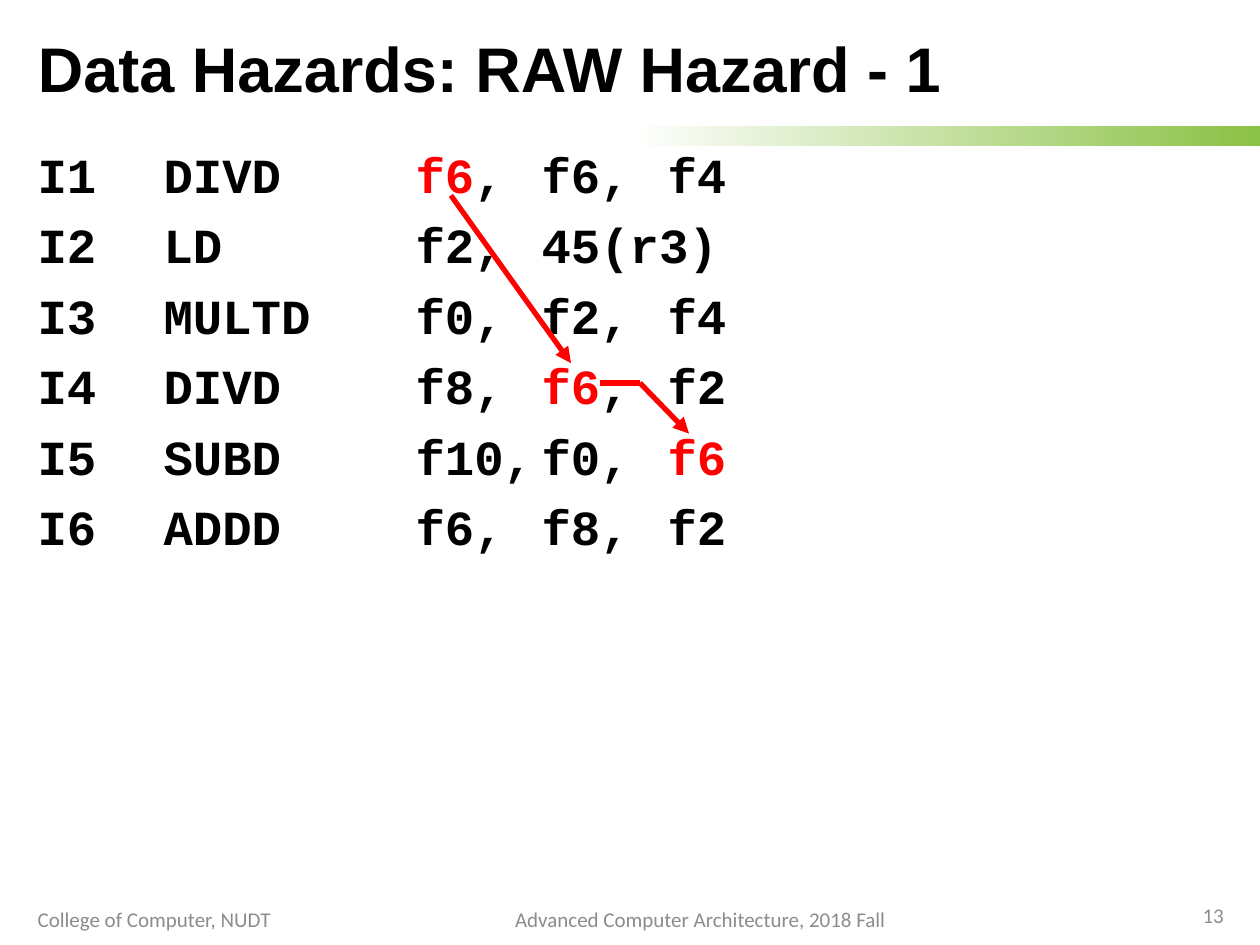
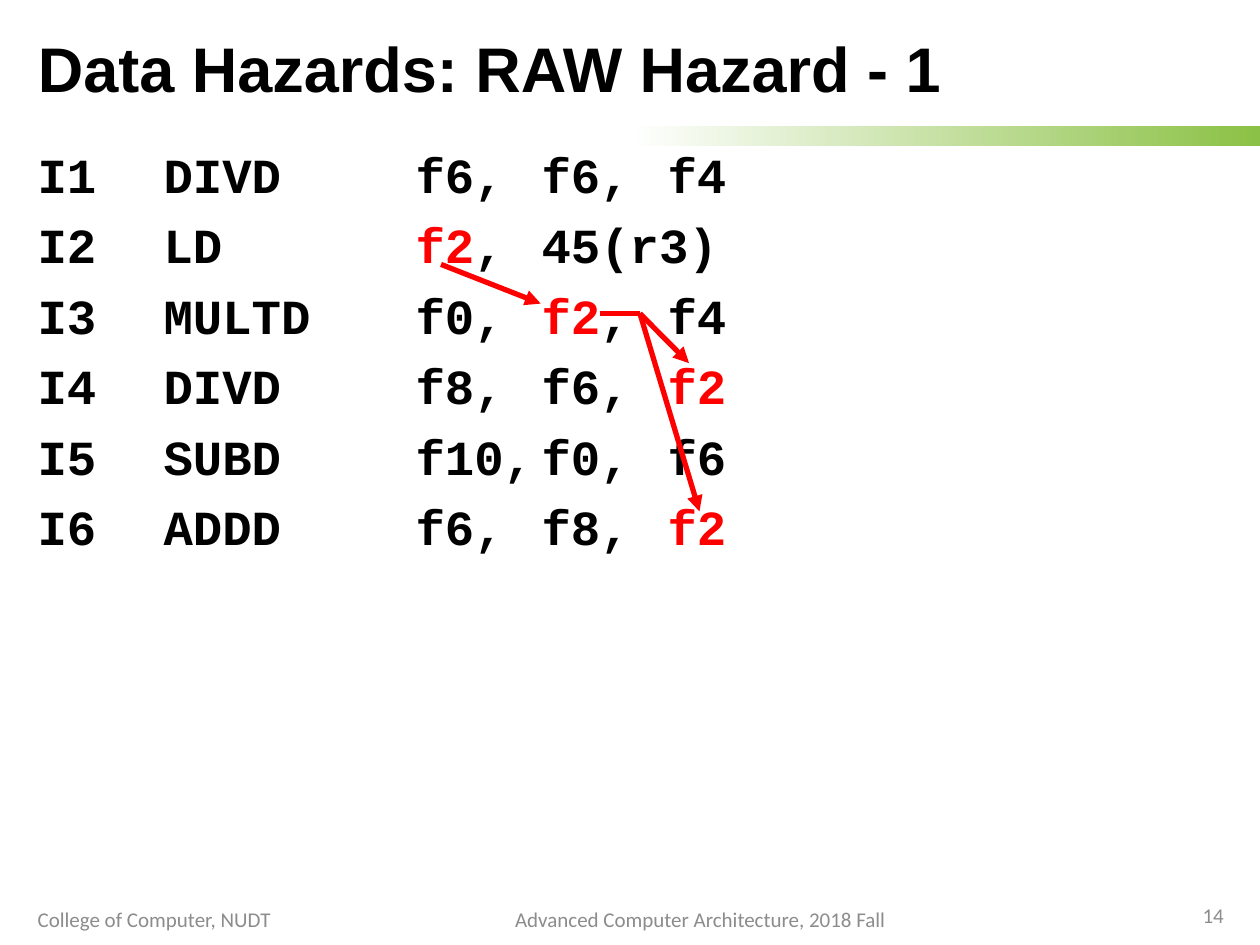
import pptx
import pptx.util
import pptx.dml.color
import pptx.enum.shapes
import pptx.enum.text
import pptx.oxml
import pptx.oxml.ns

Cm, Pt = pptx.util.Cm, pptx.util.Pt
RGBColor = pptx.dml.color.RGBColor
ALIGN = pptx.enum.text.PP_ALIGN
ANCHOR = pptx.enum.text.MSO_ANCHOR
qn = pptx.oxml.ns.qn

BLACK = RGBColor(0x00, 0x00, 0x00)
WHITE = RGBColor(0xFF, 0xFF, 0xFF)
RED = RGBColor(0xFF, 0x00, 0x00)
GREEN = RGBColor(0x8B, 0xC1, 0x45)
GREY = RGBColor(0x8C, 0x8C, 0x8C)

# Opening of each instruction, then its operands
PROGRAM = [
    ("I1 \tDIVD\t\t", "f6, ", "f6,", "f4"),
    ("I2 \tLD\t\t", "f2,", "45(r3)"),
    ("I3 \tMULTD\t", "f0,", "f2,", "f4"),
    ("I4 \tDIVD\t\t", "f8,", "f6,", "f2"),
    ("I5\tSUBD\t\t", "f10,", "f0,", "f6"),
    ("I6 \tADDD\t\t", "f6,", "f8,", "f2"),
]

# Per slide: number, {instruction: dependent operand}, lines (from, to, has arrowhead)
SLIDES = [
    (13, {1: 1, 4: 2, 5: 3}, [
        ((9.09, 3.94), (11.51, 7.32), True),
        ((12.09, 7.72), (12.9, 7.72), False),
        ((12.9, 7.72), (13.89, 8.74), True),
    ]),
    (14, {2: 1, 3: 2, 4: 3, 6: 3}, [
        ((8.89, 5.33), (10.9, 6.12), True),
        ((12.9, 6.32), (14.1, 10.31), True),
        ((12.09, 6.32), (12.9, 6.32), False),
        ((12.9, 6.32), (13.89, 7.32), True),
    ]),
]


class Deck:
    left, width = 0.51, 24.4

    def __init__(self):
        self.prs = pptx.Presentation()
        self.prs.slide_width, self.prs.slide_height = Cm(25.4), Cm(19.05)
        self.s = None

    def style(self, r, font, size, color, bold=False):
        r.font.name, r.font.size, r.font.bold = font, Pt(size), bold
        r.font.color.rgb = color

    def add_slide(self, title, number):
        self.s = self.prs.slides.add_slide(self.prs.slide_layouts[5])
        self.band()
        self.title(title)
        self.footer("College of Computer, NUDT", self.left, 18.01, 5.72, ALIGN.LEFT)
        self.footer("Advanced Computer Architecture, 2018 Fall", 8.33, 18.01, 11.58, ALIGN.CENTER)
        self.footer(str(number), 22.33, 17.93, 2.59, ALIGN.RIGHT)

    def band(self):
        sp = self.s.shapes.add_shape(pptx.enum.shapes.MSO_SHAPE.RECTANGLE,
                                     Cm(12.7), Cm(2.54), Cm(12.7), Cm(0.41))
        sp.shadow.inherit = False
        sp.line.fill.background()
        sp.fill.gradient()
        sp.fill.gradient_angle = 0
        for stop, color in zip(sp.fill.gradient_stops, (WHITE, GREEN)):
            stop.color.rgb = color

    def title(self, text):
        sp = self.s.shapes.title
        sp.left, sp.top, sp.width, sp.height = Cm(self.left), Cm(0.38), Cm(self.width), Cm(2.16)
        tf = sp.text_frame
        tf.text = text
        tf.auto_size = pptx.enum.text.MSO_AUTO_SIZE.NONE
        tf.vertical_anchor = ANCHOR.MIDDLE
        p = tf.paragraphs[0]
        p.alignment, p.line_spacing = ALIGN.LEFT, 0.9
        self.style(p.runs[0], "Arial", 36, BLACK, True)

    def text_box(self, x, y, w, h):
        tf = self.s.shapes.add_textbox(Cm(x), Cm(y), Cm(w), Cm(h)).text_frame
        tf.word_wrap = True
        return tf

    def footer(self, text, x, y, w, align):
        tf = self.text_box(x, y, w, 1.02)
        tf.text = text
        tf.vertical_anchor = ANCHOR.MIDDLE
        p = tf.paragraphs[0]
        p.alignment = align
        self.style(p.runs[0], "Calibri", 12, GREY)

    def tab_stops(self, p, gap, count):
        pPr = p._p.get_or_add_pPr()
        tabs = pptx.oxml.parse_xml(f'<a:tabLst {pptx.oxml.ns.nsdecls("a")}/>')
        for i in range(1, count + 1):
            tab = tabs.makeelement(qn("a:tab"), {"pos": str(Cm(gap * i)), "algn": "l"})
            tabs.append(tab)
        pPr.append(tabs)

    def code(self, program, marks):
        tf = self.text_box(self.left, 2.92, self.width, 15.11)
        for row, (head, *operands) in enumerate(program, 1):
            p = tf.paragraphs[0] if row == 1 else tf.add_paragraph()
            p.line_spacing, p.space_before = 0.9, Pt(10)
            self.tab_stops(p, 2.54, 5)
            before, marked, after = head + "\t".join(operands), "", ""
            if row in marks:
                k = marks[row] - 1
                marked = operands[k].rstrip(", ")
                before = head + "".join(o + "\t" for o in operands[:k])
                after = "\t".join([operands[k][len(marked):], *operands[k + 1:]])
            for text, color in ((before, BLACK), (marked, RED), (after, BLACK)):
                if text:
                    r = p.add_run()
                    r.text = text
                    self.style(r, "Courier New", 28, color, True)

    def dependences(self, lines):
        group = self.s.shapes.add_group_shape()
        for start, end, arrow in lines:
            c = group.shapes.add_connector(pptx.enum.shapes.MSO_CONNECTOR.STRAIGHT,
                                           *map(Cm, start + end))
            c.line.color.rgb, c.line.width = RED, Pt(3)
            ln = c.line._get_or_add_ln()
            if arrow:
                ln.append(ln.makeelement(qn("a:tailEnd"), {"type": "triangle"}))
            spPr = c._element.spPr
            spPr.append(spPr.makeelement(qn("a:effectLst"), {}))


def main():
    deck = Deck()
    for number, marks, lines in SLIDES:
        deck.add_slide("Data Hazards: RAW Hazard - 1", number)
        deck.code(PROGRAM, marks)
        deck.dependences(lines)
    deck.prs.save("out.pptx")


if __name__ == "__main__":
    main()
